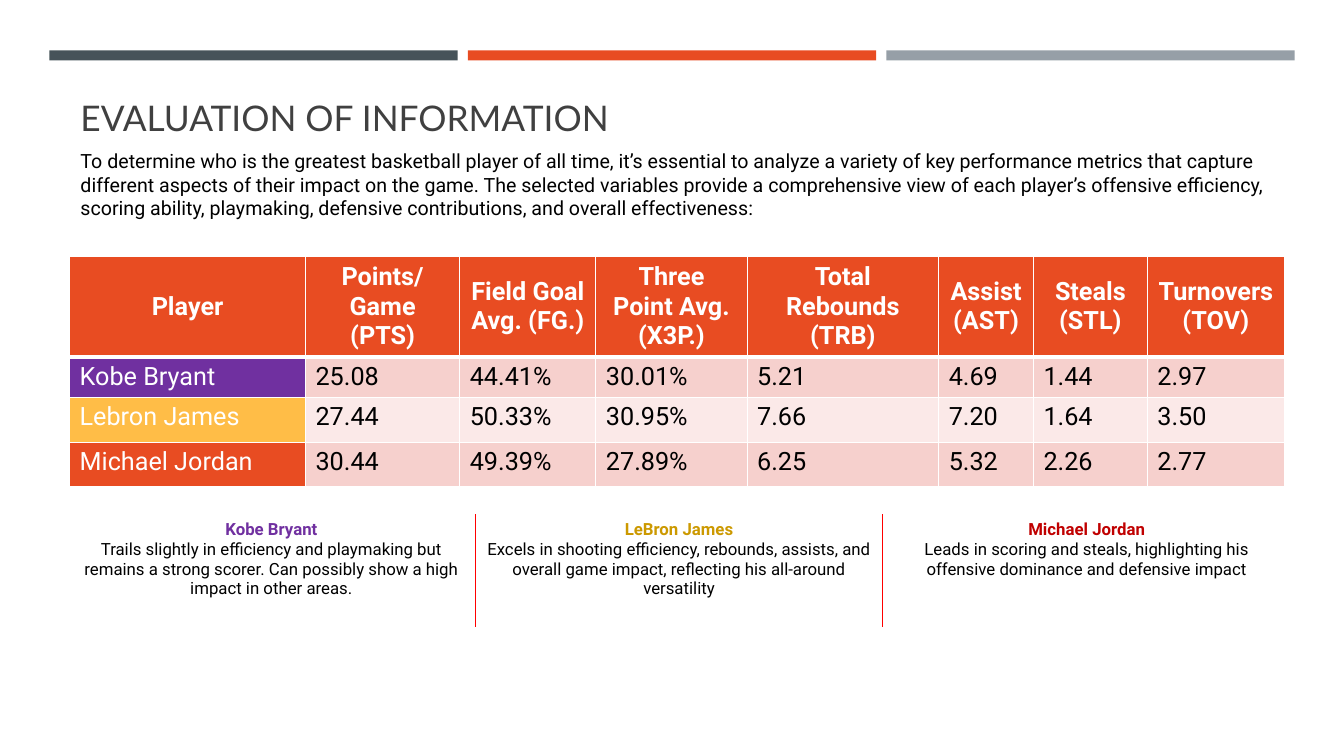
from pptx import Presentation
from pptx.dml.color import RGBColor
from pptx.enum.shapes import MSO_SHAPE as Shape
from pptx.enum.text import MSO_ANCHOR as Anchor, PP_ALIGN as Align
from pptx.oxml import parse_xml
from pptx.oxml.ns import nsdecls
from pptx.util import Inches, Pt

COLORS = {
    "slate": "465359", "orange": "E84C22", "gray": "969FA7",
    "title": "404040", "black": "000000", "white": "FFFFFF",
    "purple": "7030A0", "yellow": "FFBD47", "gold": "CC9900",
    "crimson": "C00000", "red": "FF0000",
    "band_dark": "F6D0CD", "band_light": "FBE9E8",
}
STAT_WIDTHS = [2.34, 1.53, 1.35, 1.5, 1.9, 0.94, 1.13, 1.36]
STAT_HEIGHTS = [0.99, 0.4, 0.45, 0.44]
STAT_HEADERS = [
    "Player", "Points/ Game (PTS)", "Field Goal Avg. (FG.)",
    "Three Point Avg. (X3P.)", "Total Rebounds (TRB)", "Assist (AST)",
    "Steals (STL)", "Turnovers (TOV)",
]
STAT_ROWS = [
    ("purple", "band_dark",
     ["Kobe Bryant", "25.08", "44.41%", "30.01%", "5.21", "4.69", "1.44", "2.97"]),
    ("yellow", "band_light",
     ["Lebron James", "27.44", "50.33%", "30.95%", "7.66", "7.20", "1.64", "3.50"]),
    ("orange", "band_dark",
     ["Michael Jordan", "30.44", "49.39%", "27.89%", "6.25", "5.32", "2.26", "2.77"]),
]
SUMMARIES = [
    ("Kobe Bryant", "purple",
     "Trails slightly in efficiency and playmaking but remains a strong scorer. "
     "Can possibly show a high impact in other areas."),
    ("LeBron James", "gold",
     "Excels in shooting efficiency, rebounds, assists, and overall game impact, "
     "reflecting his all-around versatility"),
    ("Michael Jordan", "crimson",
     "Leads in scoring and steals, highlighting his offensive dominance and "
     "defensive impact"),
]
INTRO = (
    "To determine who is the greatest basketball player of all time, it’s essential "
    "to analyze a variety of key performance metrics that capture different aspects "
    "of their impact on the game. The selected variables provide a comprehensive view "
    "of each player’s offensive efficiency, scoring ability, playmaking, defensive "
    "contributions, and overall effectiveness:"
)


def rgb(name):
    return RGBColor.from_string(COLORS[name])


def add_run(paragraph, text, size, color, font="Roboto", bold=False):
    run = paragraph.add_run()
    run.text = text
    run.font.name = font
    run.font.size = Pt(size)
    run.font.bold = bold
    run.font.color.rgb = rgb(color)


def set_borders(cell, **sides):
    """Draw cell borders; each side (L, R, T, B) is a color and a width in points."""
    properties = cell._tc.get_or_add_tcPr()
    for side in "LRTB":
        if side in sides:
            color, width = sides[side]
            properties.append(parse_xml(
                f'<a:ln{side} {nsdecls("a")} w="{Pt(width)}"><a:solidFill>'
                f'<a:srgbClr val="{COLORS[color]}"/></a:solidFill></a:ln{side}>'))


def add_plain_table(slide, left, top, widths, heights):
    frame = slide.shapes.add_table(
        len(heights), len(widths), Inches(left), Inches(top),
        Inches(sum(widths)), Inches(sum(heights)))
    table = frame.table
    table.first_row = table.horz_banding = False
    for column, width in zip(table.columns, widths):
        column.width = Inches(width)
    for row, height in zip(table.rows, heights):
        row.height = Inches(height)
    return table


def add_top_bars(slide, left, top, width, height, gap):
    for index, color in enumerate(["slate", "orange", "gray"]):
        bar = slide.shapes.add_shape(
            Shape.RECTANGLE, Inches(left + index * (width + gap)), Inches(top),
            Inches(width), Inches(height))
        bar.shadow.inherit = False
        bar.fill.solid()
        bar.fill.fore_color.rgb = rgb(color)
        bar.line.fill.background()


def add_text(slide, left, top, width, height, text, size, color, font, anchor):
    box = slide.shapes.add_textbox(
        Inches(left), Inches(top), Inches(width), Inches(height))
    frame = box.text_frame
    frame.word_wrap = True
    frame.vertical_anchor = anchor
    add_run(frame.paragraphs[0], text, size, color, font)


def add_stats_table(slide, left, top):
    table = add_plain_table(slide, left, top, STAT_WIDTHS, STAT_HEIGHTS)
    rows = [("orange", "orange", STAT_HEADERS)] + STAT_ROWS
    thin, thick = ("white", 1), ("white", 3)
    for row_index, (name_fill, value_fill, texts) in enumerate(rows):
        is_header = row_index == 0
        for column_index, text in enumerate(texts):
            is_name = column_index == 0
            cell = table.cell(row_index, column_index)
            set_borders(cell, L=thin, R=thin, T=thick if row_index == 1 else thin,
                        B=thick if is_header else thin)
            cell.fill.solid()
            cell.fill.fore_color.rgb = rgb(name_fill if is_name else value_fill)
            paragraph = cell.text_frame.paragraphs[0]
            if is_header:
                cell.vertical_anchor = Anchor.MIDDLE
                paragraph.alignment = Align.CENTER
            color = "white" if is_header or is_name else "black"
            add_run(paragraph, text, 18, color, bold=is_header)


def add_summaries(slide, left, top, width, height):
    count = len(SUMMARIES)
    table = add_plain_table(slide, left, top, [width / count] * count, [height])
    divider = ("red", 1)
    for index, (player, color, summary) in enumerate(SUMMARIES):
        cell = table.cell(0, index)
        sides = {}
        if index > 0:
            sides["L"] = divider
        if index < count - 1:
            sides["R"] = divider
        set_borders(cell, **sides)
        cell.fill.background()
        heading = cell.text_frame.paragraphs[0]
        body = cell.text_frame.add_paragraph()
        heading.alignment = body.alignment = Align.CENTER
        add_run(heading, player, 12, color, bold=True)
        add_run(body, summary, 12, "black")


def main():
    presentation = Presentation()
    presentation.slide_width = Inches(13.33)
    presentation.slide_height = Inches(7.5)
    slide = presentation.slides.add_slide(presentation.slide_layouts[6])
    add_top_bars(slide, 0.49, 0.5, 4.05, 0.1, 0.1)
    add_text(slide, 0.7, 1.03, 12.06, 0.39, "EVALUATION OF INFORMATION",
             25.2, "title", "Lato", Anchor.BOTTOM)
    add_text(slide, 0.7, 1.43, 12.06, 1.11, INTRO, 14, "black", "Roboto", Anchor.TOP)
    add_stats_table(slide, 0.69, 2.54)
    add_summaries(slide, 0.67, 5.11, 12.13, 1.1)
    presentation.save("out.pptx")


if __name__ == "__main__":
    main()
